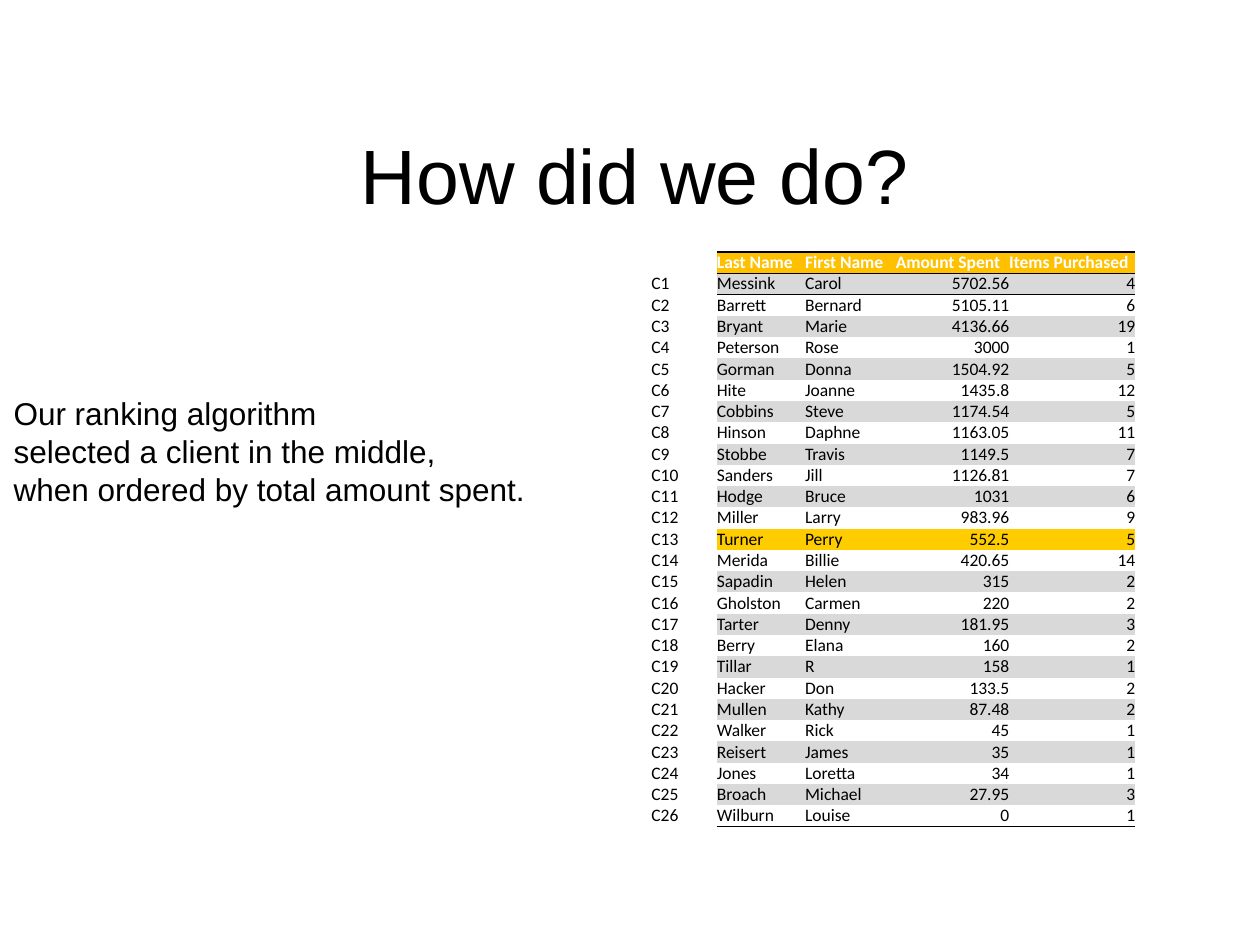
import pptx
import pptx.util
import pptx.dml.color
import pptx.enum.text
import pptx.oxml
import pptx.oxml.ns

Inches, Pt = pptx.util.Inches, pptx.util.Pt
ALIGN, ANCHOR = pptx.enum.text.PP_ALIGN, pptx.enum.text.MSO_ANCHOR

# Content
TITLE = "How did we do?"
NOTE = ["Our ranking algorithm", "selected a client in the middle,",
        "when ordered by total amount spent."]
HEADS = ["", "Last Name", "First Name", "Amount Spent", "Items Purchased"]
CLIENTS = [
    ("Messink", "Carol", "5702.56", 4),
    ("Barrett", "Bernard", "5105.11", 6),
    ("Bryant", "Marie", "4136.66", 19),
    ("Peterson", "Rose", "3000", 1),
    ("Gorman", "Donna", "1504.92", 5),
    ("Hite", "Joanne", "1435.8", 12),
    ("Cobbins", "Steve", "1174.54", 5),
    ("Hinson", "Daphne", "1163.05", 11),
    ("Stobbe", "Travis", "1149.5", 7),
    ("Sanders", "Jill", "1126.81", 7),
    ("Hodge", "Bruce", "1031", 6),
    ("Miller", "Larry", "983.96", 9),
    ("Turner", "Perry", "552.5", 5),
    ("Merida", "Billie", "420.65", 14),
    ("Sapadin", "Helen", "315", 2),
    ("Gholston", "Carmen", "220", 2),
    ("Tarter", "Denny", "181.95", 3),
    ("Berry", "Elana", "160", 2),
    ("Tillar", "R", "158", 1),
    ("Hacker", "Don", "133.5", 2),
    ("Mullen", "Kathy", "87.48", 2),
    ("Walker", "Rick", "45", 1),
    ("Reisert", "James", "35", 1),
    ("Jones", "Loretta", "34", 1),
    ("Broach", "Michael", "27.95", 3),
    ("Wilburn", "Louise", "0", 1),
]
PICKED = 13
WIDTHS = [0.52, 0.7, 0.72, 0.9, 1]
COLORS = {"text": "000000", "head": "FFC000", "head text": "FFFFFF",
          "band": "D9D9D9", "picked": "FFCC00"}
NO_STYLE = "{2D5ABB26-0587-4C30-8999-92F81FD0307C}"


def rgb(name):
    return pptx.dml.color.RGBColor.from_string(COLORS[name])


def write(par, text, size, face, color="text", bold=False):
    run = par.add_run()
    run.text = text
    run.font.size, run.font.name, run.font.bold = Pt(size), face, bold
    run.font.color.rgb = rgb(color)


def rule(cell, side):
    """Draw a thin line on the top (T) or bottom (B) edge of a cell."""
    line = pptx.oxml.parse_xml(
        f'<a:ln{side} {pptx.oxml.ns.nsdecls("a")} w="12700"><a:solidFill>'
        f'<a:srgbClr val="{COLORS["text"]}"/></a:solidFill></a:ln{side}>')
    cell._tc.get_or_add_tcPr().insert(0, line)


def fill_name(row, col):
    if col == 0:
        return None
    if row == 0:
        return "head"
    if row == PICKED:
        return "picked"
    return "band" if row % 2 else None


def format_cell(cell, text, row, col):
    cell.margin_left = cell.margin_right = Inches(0)
    cell.margin_top = cell.margin_bottom = Inches(0)
    low = row == 0 or col == 0
    cell.vertical_anchor = ANCHOR.BOTTOM if low else ANCHOR.MIDDLE
    par = cell.text_frame.paragraphs[0]
    if row and col > 2:
        par.alignment = ALIGN.RIGHT
    if text:
        write(par, text, 10, "Calibri", "text" if row else "head text", row == 0)
    else:
        # Keep the empty corner as low as the other header cells
        par._p.append(pptx.oxml.parse_xml(
            f'<a:endParaRPr {pptx.oxml.ns.nsdecls("a")} sz="1000">'
            '<a:latin typeface="Calibri"/></a:endParaRPr>'))
    name = fill_name(row, col)
    if name:
        cell.fill.solid()
        cell.fill.fore_color.rgb = rgb(name)
    else:
        cell.fill.background()
    if col:
        if row in (0, len(CLIENTS)):
            rule(cell, "B")
        if row in (0, 1):
            rule(cell, "T")


def add_clients(slide):
    rows = [HEADS] + [(f"C{num}", *client)
                      for num, client in enumerate(CLIENTS, 1)]
    frame = slide.shapes.add_table(len(rows), len(HEADS), Inches(5.17),
                                   Inches(2), Inches(sum(WIDTHS)), Inches(4.5))
    table = frame.table
    table.first_row = table.horz_banding = False
    table._tbl.tblPr.find(pptx.oxml.ns.qn("a:tableStyleId")).text = NO_STYLE
    for column, width in zip(table.columns, WIDTHS):
        column.width = Inches(width)
    for row, values in enumerate(rows):
        table.rows[row].height = Inches(0.14)
        for col, value in enumerate(values):
            format_cell(table.cell(row, col), str(value), row, col)
    frame.height = Inches(4.5)


def main():
    deck = pptx.Presentation()
    deck.slide_width, deck.slide_height = Inches(10), Inches(7.5)
    slide = deck.slides.add_slide(deck.slide_layouts[5])

    # Title
    title = slide.shapes.title
    title.left, title.top = Inches(0.75), Inches(1)
    title.width, title.height = Inches(8.58), Inches(0.75)
    title.text_frame.vertical_anchor = ANCHOR.MIDDLE
    par = title.text_frame.paragraphs[0]
    par.alignment = ALIGN.CENTER
    write(par, TITLE, 44, "Arial")

    # Ranked clients
    add_clients(slide)

    # Note on the ranking
    box = slide.shapes.add_textbox(Inches(0.01), Inches(3.08),
                                   Inches(4.3), Inches(1.01))
    frame = box.text_frame
    frame.word_wrap = False
    frame.auto_size = pptx.enum.text.MSO_AUTO_SIZE.SHAPE_TO_FIT_TEXT
    for num, text in enumerate(NOTE):
        par = frame.add_paragraph() if num else frame.paragraphs[0]
        write(par, text, 18, "Arial")

    deck.save("out.pptx")


if __name__ == "__main__":
    main()
